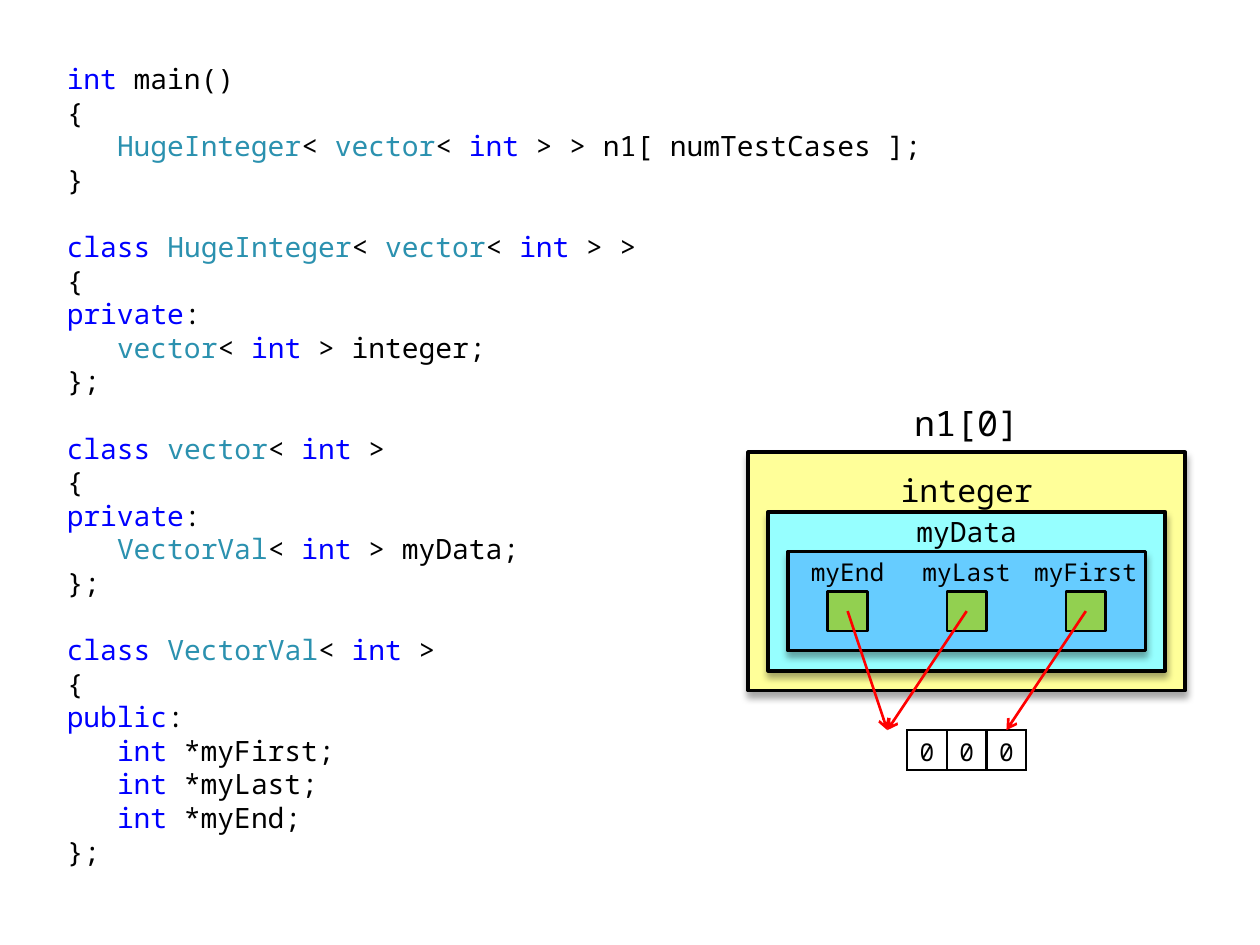
from itertools import groupby

from lxml.etree import SubElement
from pptx import Presentation
from pptx.dml.color import RGBColor
from pptx.enum.shapes import MSO_CONNECTOR as CONN, MSO_SHAPE as SHAPE
from pptx.enum.text import MSO_ANCHOR as ANCHOR, MSO_AUTO_SIZE as AUTO, PP_ALIGN as ALIGN
from pptx.oxml import parse_xml
from pptx.oxml.ns import nsdecls, qn
from pptx.util import Inches, Pt

CODE = """int main()
{
   HugeInteger< vector< int > > n1[ numTestCases ];
}
class HugeInteger< vector< int > >
{
private:
   vector< int > integer;
};
class vector< int >
{
private:
   VectorVal< int > myData;
};
class VectorVal< int >
{
public:
   int *myFirst;
   int *myLast;
   int *myEnd;
};"""
SYNTAX = {
    **dict.fromkeys(["int", "class", "private", "public"], "0000FF"),
    **dict.fromkeys(["HugeInteger", "vector", "VectorVal"], "2B91AF"),
}
SHADOW = (
    f'<a:effectLst {nsdecls("a")}><a:outerShdw blurRad="{Pt(4)}" dist="{Pt(3)}" '
    'dir="5400000" rotWithShape="0"><a:srgbClr val="000000"><a:alpha val="35000"/>'
    "</a:srgbClr></a:outerShdw></a:effectLst>"
)


def rgb(value):
    return RGBColor.from_string(value)


def apply(obj, **values):
    for name, value in values.items():
        setattr(obj, name, value)


class Diagram:
    """Draws on one slide; lengths are units of a square grid."""

    font = "Noto Sans Mono"
    ink = "000000"
    unit = 0.315
    left, top = 5.94, 3.59

    def __init__(self, slide):
        self.slide = slide
        self.shapes = slide.shapes

    def point(self, col, row):
        return Inches(self.left + col * self.unit), Inches(self.top + row * self.unit)

    def box(self, col, row, cols, rows):
        return *self.point(col, row), Inches(cols * self.unit), Inches(rows * self.unit)

    def run(self, p, text, size, color=ink):
        r = p.add_run()
        r.text = text
        apply(r.font, name=self.font, size=Pt(size))
        r.font.color.rgb = rgb(color)

    def code(self, text, size=16, pitch=19.2):
        body = self.slide.placeholders[1]
        apply(body, left=Inches(0.43), top=Inches(0.44), width=Inches(7.09), height=Inches(6.61))
        tf = body.text_frame
        apply(tf, word_wrap=True, auto_size=AUTO.NONE, vertical_anchor=ANCHOR.TOP)
        for i, line in enumerate(text.split("\n")):
            p = tf.add_paragraph() if i else tf.paragraphs[0]
            pPr = p._p.get_or_add_pPr()
            apply(p, line_spacing=Pt(pitch),
                  space_before=Pt(pitch if line.startswith("class") else 0))
            pPr.set("marL", "0")
            pPr.set("indent", "0")
            SubElement(pPr, qn("a:buNone"))
            words = ["".join(chars) for _, chars in groupby(line, str.isalnum)]
            for color, part in groupby(words, lambda word: SYNTAX.get(word, self.ink)):
                self.run(p, "".join(part), size, color)

    def block(self, area, fill, weight, shape=SHAPE.FLOWCHART_PROCESS, shadow=True):
        s = self.shapes.add_shape(shape, *self.box(*area))
        s.shadow.inherit = False
        s.fill.solid()
        s.fill.fore_color.rgb = rgb(fill)
        s.line.color.rgb = rgb(self.ink)
        s.line.width = Pt(weight)
        if shadow:
            spPr = s._element.spPr
            spPr.replace(spPr.find(qn("a:effectLst")), parse_xml(SHADOW))

    def label(self, area, text, size, side=0.08, above=0, below=0):
        tf = self.shapes.add_textbox(*self.box(*area)).text_frame
        apply(tf, word_wrap=True, vertical_anchor=ANCHOR.MIDDLE,
              margin_left=Inches(side), margin_right=Inches(side),
              margin_top=Inches(above), margin_bottom=Inches(below))
        p = tf.paragraphs[0]
        p.alignment = ALIGN.CENTER
        self.run(p, text, size)

    def arrow(self, start, end, color="FF0000"):
        c = self.shapes.add_connector(CONN.STRAIGHT, *self.point(*start), *self.point(*end))
        c.line.color.rgb = rgb(color)
        c.line.width = Pt(1.5)
        SubElement(c.line._get_or_add_ln(), qn("a:tailEnd"), type="arrow")
        SubElement(c._element.spPr, qn("a:effectLst"))

    def array(self, col, row, values, size=14):
        area = self.box(col, row, len(values), 1)
        table = self.shapes.add_table(1, len(values), *area).table
        apply(table, first_row=False, horz_banding=False)
        for cell, value in zip(table.iter_cells(), values):
            cell.fill.background()
            apply(cell, vertical_anchor=ANCHOR.MIDDLE,
                  margin_left=Inches(0.06), margin_right=Inches(0.06),
                  margin_top=Inches(0.04), margin_bottom=Inches(0.04))
            p = cell.text_frame.paragraphs[0]
            p.alignment = ALIGN.CENTER
            self.run(p, value, size)
            tcPr = cell._tc.get_or_add_tcPr()
            for i, edge in enumerate(("lnL", "lnR", "lnT", "lnB")):
                tcPr.insert(i, parse_xml(
                    f'<a:{edge} {nsdecls("a")} w="{Pt(1.5)}"><a:solidFill>'
                    f'<a:srgbClr val="{self.ink}"/></a:solidFill></a:{edge}>'))


def main():
    prs = Presentation()
    prs.slide_width, prs.slide_height = Inches(10), Inches(7.5)
    slide = prs.slides.add_slide(prs.slide_layouts[1])
    title = slide.shapes.title._element
    title.getparent().remove(title)
    d = Diagram(slide)

    # Class definitions
    d.code(CODE)

    # Nested objects
    d.block((0, 0, 11, 6), "FFFF99", 2.25)
    d.block((0.5, 1.5, 10, 4), "96FFFF", 2.25)
    d.block((1, 2.5, 9, 2.5), "66CCFF", 2)
    d.label((3.5, -1.5, 4, 1.5), "n1[0]", 20, side=0.1, above=0.05, below=0.05)
    d.label((3.5, 0, 4, 1.5), "integer", 18, above=0.12)
    d.label((3.5, 1.5, 4, 1), "myData", 16)

    # Array elements
    d.array(4, 7, ["0", "0", "0"])

    # Pointers: name, cell and the array column each one points to
    pointers = [("myEnd", 3.5), ("myLast", 3.5), ("myFirst", 6.5)]
    for i, (name, target) in enumerate(pointers):
        col = 1 + 3 * i
        d.label((col, 2.5, 3, 1), name, 14, side=0.04, above=0.05, below=0.05)
        d.block((col + 1, 3.5, 1, 1), "92D050", 1.5, SHAPE.RECTANGLE, shadow=False)
        d.arrow((col + 1.5, 4), (target, 7))

    prs.save("out.pptx")


if __name__ == "__main__":
    main()
